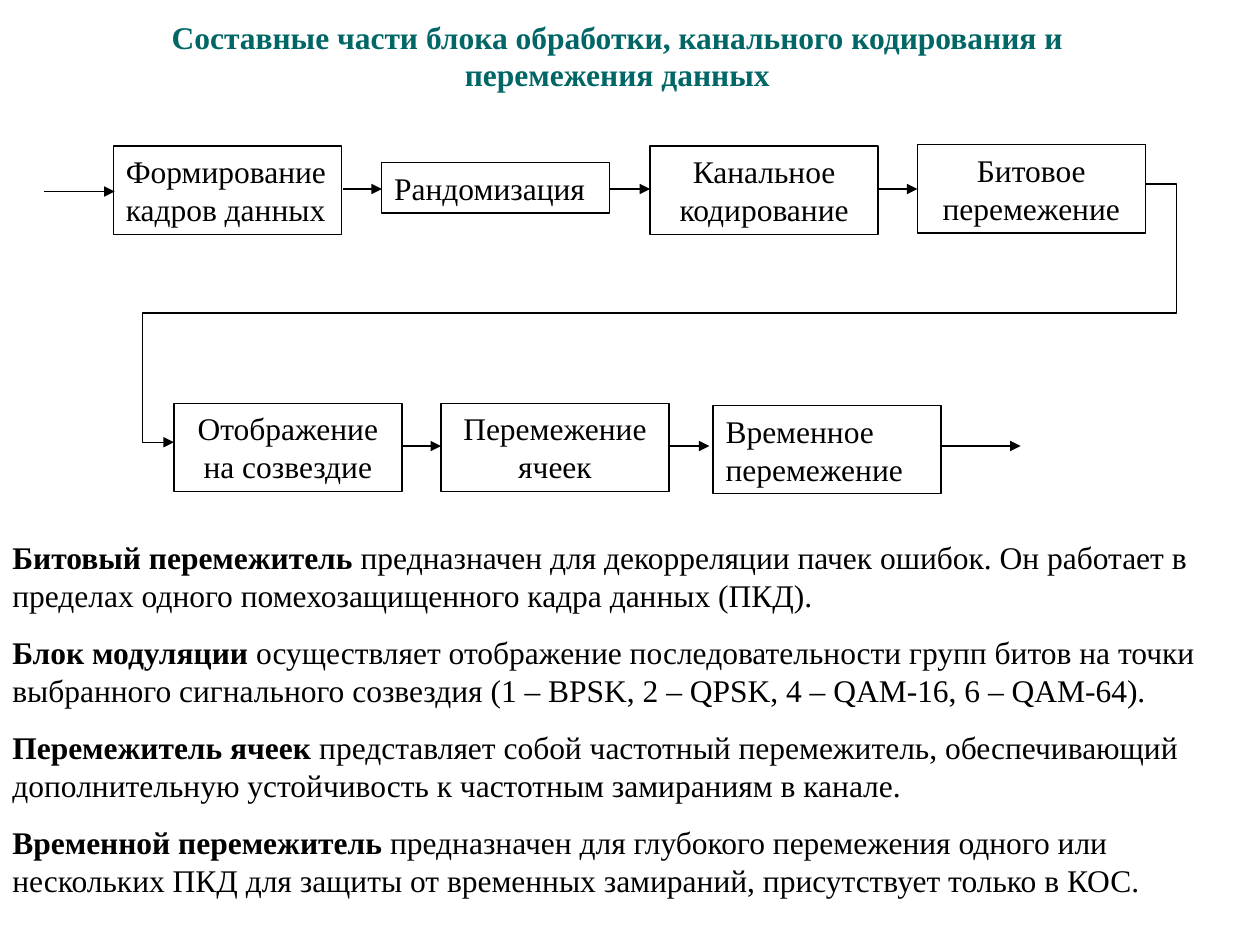
import pptx
import pptx.util
import pptx.dml.color
import pptx.enum.shapes
import pptx.enum.text
import pptx.oxml.ns
import lxml.etree
from pptx.util import Inches

BLACK = pptx.dml.color.RGBColor(0x00, 0x00, 0x00)
TEAL = pptx.dml.color.RGBColor(0x00, 0x66, 0x66)
LEFT = pptx.enum.text.PP_ALIGN.LEFT
CENTER = pptx.enum.text.PP_ALIGN.CENTER
STRAIGHT = pptx.enum.shapes.MSO_CONNECTOR.STRAIGHT
ELBOW = pptx.enum.shapes.MSO_CONNECTOR.ELBOW
FIT = pptx.enum.text.MSO_AUTO_SIZE
qn = pptx.oxml.ns.qn


def add_text(paragraph, text, bold=False, color=BLACK, align=LEFT, before=0):
    paragraph.alignment = align
    paragraph.space_before = pptx.util.Pt(before)
    run = paragraph.add_run()
    run.text = text
    run.font.name = "Times New Roman"
    run.font.size = pptx.util.Pt(18)
    run.font.bold = bold
    run.font.color.rgb = color


def add_arrow(shapes, kind, x1, y1, x2, y2):
    arrow = shapes.add_connector(kind, Inches(x1), Inches(y1), Inches(x2), Inches(y2))
    arrow.line.color.rgb = BLACK
    arrow.line.width = pptx.util.Pt(0.75)
    lxml.etree.SubElement(arrow.line._get_or_add_ln(), qn("a:tailEnd"), type="triangle")
    lxml.etree.SubElement(arrow._element.spPr, qn("a:effectLst"))
    return arrow


presentation = pptx.Presentation()
presentation.slide_width = Inches(10)
presentation.slide_height = Inches(7.5)
slide = presentation.slides.add_slide(presentation.slide_layouts[5])
shapes = slide.shapes

heading = shapes.title
heading.left, heading.top = Inches(0.9), Inches(0.13)
heading.width, heading.height = Inches(8), Inches(0.66)
heading.text_frame.auto_size = FIT.NONE
heading.text_frame.vertical_anchor = pptx.enum.text.MSO_ANCHOR.BOTTOM
add_text(heading.text_frame.paragraphs[0],
         "Составные части блока обработки, канального кодирования и перемежения данных",
         bold=True, color=TEAL, align=CENTER)

stages = [
    ("Формирование кадров данных", 0.9, 1.16, 0.7, LEFT),
    ("Рандомизация", 3.03, 1.29, 0.4, LEFT),
    ("Канальное кодирование", 5.16, 1.16, 0.7, CENTER),
    ("Битовое перемежение", 7.28, 1.15, 0.7, CENTER),
    ("Отображение на созвездие", 1.38, 3.2, 0.7, CENTER),
    ("Перемежение ячеек", 3.5, 3.2, 0.7, CENTER),
    ("Временное перемежение", 5.66, 3.22, 0.7, LEFT),
]
for label, left, top, height, align in stages:
    stage = shapes.add_shape(pptx.enum.shapes.MSO_SHAPE.RECTANGLE,
                             Inches(left), Inches(top), Inches(1.81), Inches(height))
    stage.shadow.inherit = False
    stage.fill.background()
    stage.line.color.rgb = BLACK
    stage.line.width = pptx.util.Pt(0.75)
    stage.text_frame.word_wrap = True
    stage.text_frame.auto_size = FIT.SHAPE_TO_FIT_TEXT
    stage.text_frame.vertical_anchor = pptx.enum.text.MSO_ANCHOR.TOP
    add_text(stage.text_frame.paragraphs[0], label, align=align)

flows = [
    (0.35, 0.91, 1.52), (2.72, 3.03, 1.5), (4.84, 5.16, 1.5), (6.97, 7.28, 1.5),
    (3.19, 3.5, 3.54), (5.31, 5.63, 3.54), (7.47, 8.1, 3.54),
]
for start, end, y in flows:
    add_arrow(shapes, STRAIGHT, start, y, end, y)

row_link = add_arrow(shapes, ELBOW, 9.09, 1.46, 1.38, 3.51)
geometry = row_link._element.spPr.find(qn("a:prstGeom"))
geometry.set("prst", "bentConnector5")
bends = geometry.find(qn("a:avLst"))
if bends is None:
    bends = lxml.etree.SubElement(geometry, qn("a:avLst"))
for number, bend in enumerate((-3200, 50000, 103200), 1):
    lxml.etree.SubElement(bends, qn("a:gd"), name=f"adj{number}", fmla=f"val {bend}")

explanations = [
    ("Битовый перемежитель", " предназначен для декорреляции пачек ошибок. Он работает в "
     "пределах одного помехозащищенного кадра данных (ПКД)."),
    ("Блок модуляции", " осуществляет отображение последовательности групп битов на точки "
     "выбранного сигнального созвездия (1 – BPSK, 2 – QPSK, 4 – QAM-16, 6 – QAM-64)."),
    ("Перемежитель ячеек", " представляет собой частотный перемежитель, обеспечивающий "
     "дополнительную устойчивость к частотным замираниям в канале."),
    ("Временной перемежитель", " предназначен для глубокого перемежения одного или "
     "нескольких ПКД для защиты от временных замираний, присутствует только в КОС."),
]
description = shapes.add_textbox(Inches(0), Inches(4.22), Inches(10), Inches(2.97)).text_frame
description.word_wrap = True
description.auto_size = FIT.SHAPE_TO_FIT_TEXT
for index, (term, meaning) in enumerate(explanations):
    paragraph = description.add_paragraph() if index else description.paragraphs[0]
    before = 11.2 if index else 0
    add_text(paragraph, term, bold=True, before=before)
    add_text(paragraph, meaning, before=before)

presentation.save("out.pptx")
